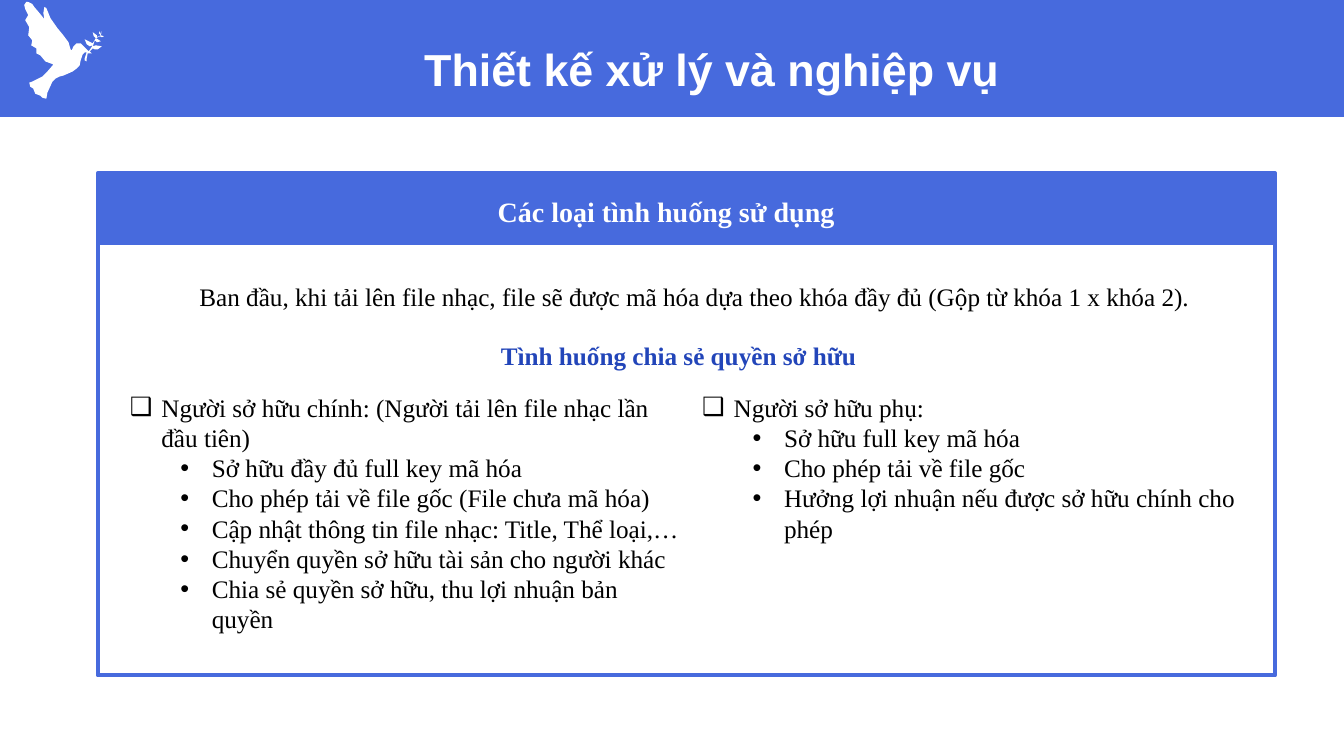
import pptx
import pptx.util
import pptx.dml.color
import pptx.enum.shapes
import pptx.enum.text
import pptx.oxml.ns
from lxml import etree

Pt = pptx.util.Pt
ALIGN = pptx.enum.text.PP_ALIGN
ANCHOR = pptx.enum.text.MSO_ANCHOR

TITLE = "Thiết kế xử lý và nghiệp vụ"
HEADING = "Các loại tình huống sử dụng"
INTRO = ("Ban đầu, khi tải lên file nhạc, file sẽ được mã hóa dựa theo "
         "khóa đầy đủ (Gộp từ khóa 1 x khóa 2).")
SUBHEADING = "Tình huống chia sẻ quyền sở hữu"
OWNERS = {
    "Người sở hữu chính: (Người tải lên file nhạc lần đầu tiên)": [
        "Sở hữu đầy đủ full key mã hóa",
        "Cho phép tải về file gốc (File chưa mã hóa)",
        "Cập nhật thông tin file nhạc: Title, Thể loại,…",
        "Chuyển quyền sở hữu tài sản cho người khác",
        "Chia sẻ quyền sở hữu, thu lợi nhuận bản quyền",
    ],
    "Người sở hữu phụ:": [
        "Sở hữu full key mã hóa",
        "Cho phép tải về file gốc",
        "Hưởng lợi nhuận nếu được sở hữu chính cho phép",
    ],
}
COLORS = {"blue": "476ADD", "navy": "2245B9", "white": "FFFFFF", "black": "000000"}
SERIF = "Times New Roman"

DOVE_UNIT = 0.72
DOVE = [
    (35, 93), (33, 88), (30, 86), (29, 82), (32, 81), (42, 76), (47, 71), (53, 64),
    (45, 61), (40, 55), (36, 53), (36, 48), (31, 45), (32, 40), (28, 35), (29, 27),
    (25, 20), (28, 15), (25, 9), (24, 5), (26, 2), (28, 2), (32, 4), (34, 7),
    (40, 14), (44, 19), (43, 13), (44, 7), (46, 8), (50, 18), (57, 28), (62, 34),
    (68, 42), (70, 49), (71, 50), (73, 46), (76, 43), (80, 43), (85, 48), (88, 51),
    (92, 45), (89, 46), (86, 44), (84, 39), (88, 41), (92, 43), (95, 38), (93, 36),
    (92, 32), (96, 35), (96, 37), (100, 35), (98, 33), (99, 31), (100, 34), (101, 31),
    (100, 35), (103, 36), (101, 37), (99, 36), (95, 38), (97, 39), (100, 41), (96, 42),
    (94, 40), (92, 46), (95, 45), (101, 46), (97, 49), (94, 49), (92, 48), (89, 51),
    (91, 53), (87, 53), (86, 58), (86, 61), (84, 60), (84, 58), (86, 52), (84, 52),
    (82, 54), (81, 57), (80, 60), (79, 65), (76, 68), (72, 71), (63, 75), (59, 76),
    (55, 78), (52, 81), (47, 92), (46, 98), (42, 97), (40, 95),
]

FRAME_LEFT, FRAME_TOP, FRAME_WIDTH, FRAME_HEIGHT = 69.84, 123.84, 840.96, 358.56
LIST_INDENT, LEVEL_STEP = 22.5, 36


def color(name):
    return pptx.dml.color.RGBColor.from_string(COLORS[name])


def paint(shape, fill=None, line=None):
    shape.shadow.inherit = False
    if fill:
        shape.fill.solid()
        shape.fill.fore_color.rgb = color(fill)
    else:
        shape.fill.background()
    if line:
        shape.line.color.rgb = color(line)
        shape.line.width = Pt(3)
    else:
        shape.line.fill.background()


def add_rectangle(page, left, top, width, height, **paint_options):
    box = page.shapes.add_shape(pptx.enum.shapes.MSO_SHAPE.RECTANGLE,
                                Pt(left), Pt(top), Pt(width), Pt(height))
    paint(box, **paint_options)


def add_text_box(page, left, top, width, height):
    box = page.shapes.add_textbox(Pt(left), Pt(top), Pt(width), Pt(height))
    box.text_frame.word_wrap = True
    return box.text_frame


def style(para, size, ink, bold=False, face=SERIF, align=ALIGN.LEFT):
    para.alignment = align
    para.font.size, para.font.bold, para.font.name = Pt(size), bold, face
    para.font.color.rgb = color(ink)


def indent(para, left, first=0):
    properties = para._p.get_or_add_pPr()
    properties.set("marL", str(Pt(left)))
    properties.set("indent", str(Pt(first)))
    return properties


def add_bullet(para, symbol, level):
    para.level = level
    properties = indent(para, LIST_INDENT + level * LEVEL_STEP, -LIST_INDENT)
    for tag, key, value in (("a:buFont", "typeface", "Arial"), ("a:buChar", "char", symbol)):
        etree.SubElement(properties, pptx.oxml.ns.qn(tag)).set(key, value)


def add_title(page):
    title = page.shapes.title
    title.left, title.top, title.width, title.height = Pt(82.08), Pt(23.04), Pt(853.2), Pt(56.88)
    frame = title.text_frame
    frame.text = TITLE
    frame.auto_size = pptx.enum.text.MSO_AUTO_SIZE.NONE
    frame.vertical_anchor = ANCHOR.MIDDLE
    para = frame.paragraphs[0]
    para.line_spacing, para.space_before = 0.9, Pt(10)
    style(para, 32, "white", bold=True, face="Arial", align=ALIGN.CENTER)
    title.element.getparent().append(title.element)


def add_dove(page):
    builder = page.shapes.build_freeform(*DOVE[0], scale=Pt(DOVE_UNIT))
    builder.add_line_segments(DOVE[1:], close=True)
    paint(builder.convert_to_shape(), fill="white")


def add_statement(page, text, left, top, width, ink, bold):
    frame = add_text_box(page, left, top, width, 30.96)
    frame.text = text
    para = frame.paragraphs[0]
    indent(para, 18)
    para.line_spacing, para.space_after = 1.07, Pt(8)
    style(para, 18, ink, bold)


def add_owner_columns(page):
    frame = add_text_box(page, 85.68, 276.48, 817.2, 181.44)
    body = frame._txBody.bodyPr
    body.set("numCol", "2")
    body.set("spcCol", str(Pt(14.4)))
    lines = []
    for owner, rights in OWNERS.items():
        lines.append((owner, "❑", 0))
        lines += [(right, "•", 1) for right in rights]
    for number, (text, symbol, level) in enumerate(lines):
        para = frame.add_paragraph() if number else frame.paragraphs[0]
        para.text = text
        add_bullet(para, symbol, level)
        style(para, 18, "black")


def main():
    deck = pptx.Presentation()
    deck.slide_width, deck.slide_height = Pt(960), Pt(540)
    page = deck.slides.add_slide(deck.slide_layouts.get_by_name("Title Only"))

    add_rectangle(page, 0, 0, 960, 83.52, fill="blue")
    add_dove(page)
    add_title(page)

    add_rectangle(page, FRAME_LEFT, FRAME_TOP, FRAME_WIDTH, FRAME_HEIGHT, line="blue")
    add_rectangle(page, FRAME_LEFT, FRAME_TOP, FRAME_WIDTH, 51.12, fill="blue")
    heading = add_text_box(page, 128.16, 135.36, 695.52, 31.68)
    heading.text = HEADING
    style(heading.paragraphs[0], 20, "white", bold=True, align=ALIGN.CENTER)

    add_statement(page, INTRO, 117.36, 195.84, 746.64, "black", False)
    add_statement(page, SUBHEADING, 332.64, 238.32, 286.56, "navy", True)
    add_owner_columns(page)
    deck.save("out.pptx")


if __name__ == "__main__":
    main()
